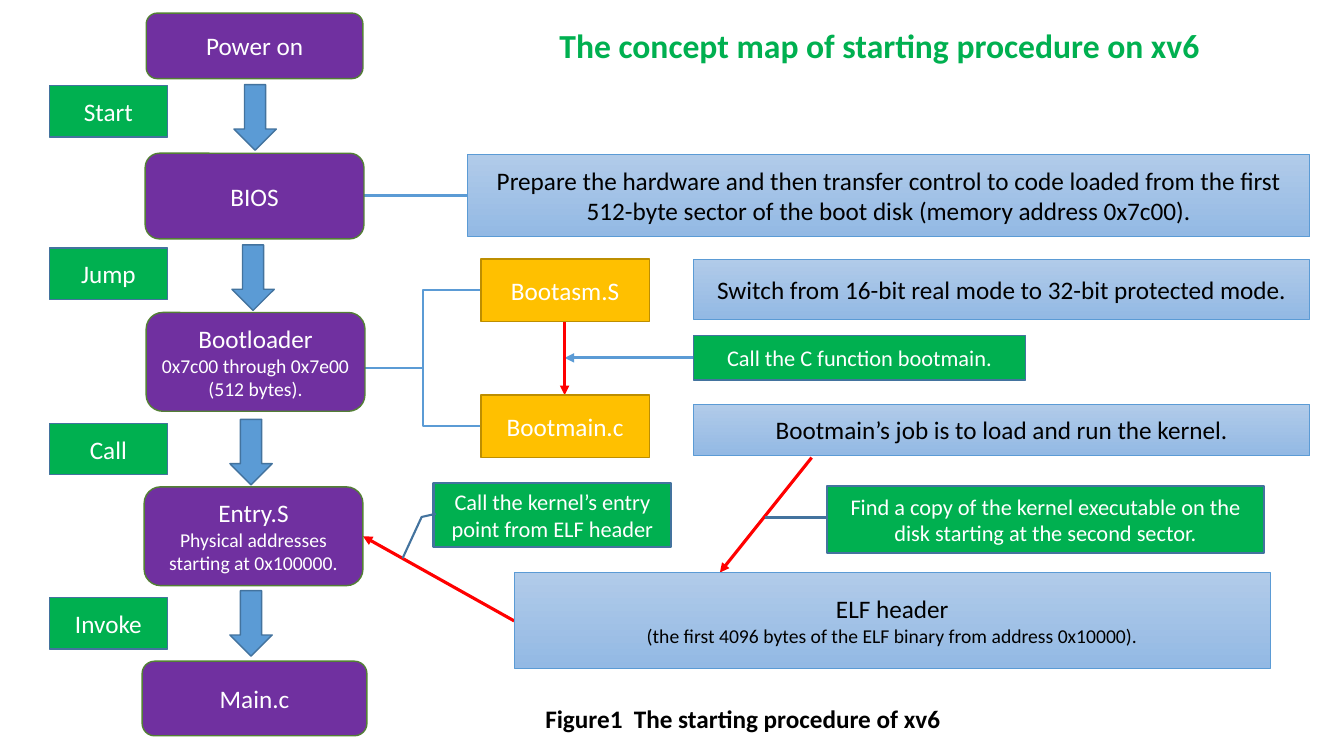
from dataclasses import dataclass
from typing import Optional

import lxml.etree
import pptx
import pptx.dml.color
import pptx.enum.shapes
import pptx.enum.text
import pptx.oxml.ns
import pptx.util

Inches = pptx.util.Inches
Pt = pptx.util.Pt
RGBColor = pptx.dml.color.RGBColor
Shape = pptx.enum.shapes.MSO_SHAPE
Connector = pptx.enum.shapes.MSO_CONNECTOR
Align = pptx.enum.text.PP_ALIGN


@dataclass(frozen=True)
class Theme:
    font: str = "Calibri"
    purple: str = "7030A0"
    purple_edge: str = "538035"
    green: str = "00B050"
    blue: str = "5B9BD5"
    blue_edge: str = "43739E"
    amber: str = "FFC000"
    amber_edge: str = "BD8E00"
    panel_top: str = "B1CBE9"
    panel_bottom: str = "93B9E4"
    red: str = "FF0000"
    white: str = "FFFFFF"
    black: str = "000000"
    title_size: int = 24
    body_size: int = 18
    note_size: int = 16
    detail_size: int = 14


THEME = Theme()


@dataclass(frozen=True)
class Style:
    geometry: Shape
    fill: str
    edge: str
    edge_width: float = 1
    text_color: str = THEME.white
    size: int = THEME.body_size
    fill_end: Optional[str] = None


STAGE = Style(Shape.ROUNDED_RECTANGLE, THEME.purple, THEME.purple_edge)
ACTION = Style(Shape.RECTANGLE, THEME.green, THEME.blue_edge)
NOTE = Style(Shape.RECTANGLE, THEME.green, THEME.blue_edge, size=THEME.note_size)
DOWN_ARROW = Style(Shape.DOWN_ARROW, THEME.blue, THEME.blue_edge)
SOURCE_FILE = Style(Shape.FLOWCHART_PROCESS, THEME.amber, THEME.amber_edge)
PANEL = Style(Shape.RECTANGLE, THEME.panel_top, THEME.blue, 0.5, THEME.black,
              fill_end=THEME.panel_bottom)
STRAIGHT_CALLOUT = Style(Shape.LINE_CALLOUT_1, THEME.green, THEME.blue_edge, 1.5,
                         size=THEME.note_size)
BENT_CALLOUT = Style(Shape.LINE_CALLOUT_2, THEME.green, THEME.blue_edge, 1.5,
                     size=THEME.note_size)


@dataclass(frozen=True)
class Box:
    style: Style
    left: float
    top: float
    width: float
    height: float
    text: str = ""
    detail: str = ""
    adjustments: tuple[float, ...] = ()


@dataclass(frozen=True)
class Link:
    start: tuple[float, float]
    end: tuple[float, float]
    color: str = THEME.blue
    width: float = 1.5
    kind: Connector = Connector.STRAIGHT
    arrow: bool = False


@dataclass(frozen=True)
class Heading:
    left: float
    top: float
    width: float
    height: float
    text: str
    size: int
    color: str
    wrap: bool


BOXES = [
    Box(STAGE, 1.45, 0.13, 2.15, 0.65, "Power on"),
    Box(STAGE, 1.44, 1.52, 2.17, 0.85, "BIOS"),
    Box(STAGE, 1.45, 3.1, 2.17, 0.98, "Bootloader", "0x7c00 through 0x7e00 (512 bytes)."),
    Box(STAGE, 1.43, 4.83, 2.17, 0.98, "Entry.S", "Physical addresses starting at 0x100000."),
    Box(STAGE, 1.41, 6.56, 2.23, 0.74, "Main.c"),
    *(Box(DOWN_ARROW, left, top, 0.42, 0.65)
      for left, top in ((2.32, 0.84), (2.3, 2.43), (2.28, 4.16), (2.28, 5.86))),
    *(Box(ACTION, 0.49, top, 1.17, 0.51, text)
      for top, text in ((0.85, "Start"), (2.46, "Jump"), (4.2, "Call"), (5.93, "Invoke"))),
    *(Box(SOURCE_FILE, 4.77, top, 1.67, 0.62, text)
      for top, text in ((2.57, "Bootasm.S"), (3.92, "Bootmain.c"))),
    Box(PANEL, 4.64, 1.53, 8.35, 0.82,
        "Prepare the hardware and then transfer control to code loaded from the ﬁrst "
        "512-byte sector of the boot disk (memory address 0x7c00)."),
    Box(PANEL, 6.88, 2.57, 6.11, 0.6, "Switch from 16-bit real mode to 32-bit protected mode."),
    Box(NOTE, 6.88, 3.33, 3.29, 0.44, "Call the C function bootmain."),
    Box(PANEL, 6.88, 4.01, 6.11, 0.51, "Bootmain’s job is to load and run the kernel."),
    Box(PANEL, 5.1, 5.68, 7.5, 0.95, "ELF header",
        "(the ﬁrst 4096 bytes of the ELF binary from address 0x10000)."),
    Box(STRAIGHT_CALLOUT, 8.2, 4.82, 4.34, 0.67,
        "Find a copy of the kernel executable on the disk starting at the second sector.",
        adjustments=(0.47, 0, 0.47, -0.14)),
    Box(BENT_CALLOUT, 4.3, 4.79, 2.36, 0.64, "Call the kernel’s entry point from ELF header",
        adjustments=(0.48, 0.01, 0.53, -0.05, 1.17, -0.13)),
]

LINKS = [
    Link((3.61, 1.94), (4.64, 1.94)),
    Link((3.62, 3.65), (4.77, 4.23), kind=Connector.ELBOW),
    Link((3.62, 3.65), (4.77, 2.88), kind=Connector.ELBOW),
    Link((6.88, 3.55), (5.6, 3.55), width=2.25, arrow=True),
    *(Link(start, end, THEME.red, 2.25, arrow=True)
      for start, end in (((5.6, 3.19), (5.6, 3.92)),
                         ((8.05, 4.54), (7.14, 5.68)),
                         ((5.1, 6.16), (3.6, 5.32)))),
]

HEADINGS = [
    Heading(5.45, 0.2, 6.8, 0.5, "The concept map of starting procedure on xv6",
            THEME.title_size, THEME.green, True),
    Heading(5.31, 6.93, 4.16, 0.4, "Figure1  The starting procedure of xv6",
            THEME.body_size, THEME.black, False),
]


def rgb(color: str) -> RGBColor:
    return RGBColor.from_string(color)


def set_font(paragraph, size: int, color: str, bold: bool = False) -> None:
    font = paragraph.font
    font.name = THEME.font
    font.size = Pt(size)
    font.bold = bold
    font.color.rgb = rgb(color)


def fill_shape(shape, style: Style) -> None:
    """Fill with one colour, or from top to bottom when the style has an end colour."""
    if style.fill_end is None:
        shape.fill.solid()
        shape.fill.fore_color.rgb = rgb(style.fill)
        return
    shape.fill.gradient()
    shape.fill.gradient_angle = 270
    for stop, color in zip(shape.fill.gradient_stops, (style.fill, style.fill_end)):
        stop.color.rgb = rgb(color)


def add_box(slide, box: Box) -> None:
    style = box.style
    shape = slide.shapes.add_shape(style.geometry, Inches(box.left), Inches(box.top),
                                   Inches(box.width), Inches(box.height))
    shape.shadow.inherit = False
    fill_shape(shape, style)
    shape.line.color.rgb = rgb(style.edge)
    shape.line.width = Pt(style.edge_width)
    for index, value in enumerate(box.adjustments):
        shape.adjustments[index] = value
    if not box.text:
        return
    frame = shape.text_frame
    frame.word_wrap = True
    frame.vertical_anchor = pptx.enum.text.MSO_ANCHOR.MIDDLE
    frame.text = "\n".join(filter(None, (box.text, box.detail)))
    for paragraph, size in zip(frame.paragraphs, (style.size, THEME.detail_size)):
        paragraph.alignment = Align.CENTER
        set_font(paragraph, size, style.text_color)


def add_link(slide, link: Link) -> None:
    connector = slide.shapes.add_connector(
        link.kind, *(Inches(value) for value in link.start + link.end))
    connector.line.color.rgb = rgb(link.color)
    connector.line.width = Pt(link.width)
    if link.arrow:
        lxml.etree.SubElement(connector.line._get_or_add_ln(),
                              pptx.oxml.ns.qn("a:tailEnd"), type="triangle")
    lxml.etree.SubElement(connector._element.spPr, pptx.oxml.ns.qn("a:effectLst"))


def add_heading(slide, heading: Heading) -> None:
    text_box = slide.shapes.add_textbox(Inches(heading.left), Inches(heading.top),
                                        Inches(heading.width), Inches(heading.height))
    frame = text_box.text_frame
    frame.word_wrap = heading.wrap
    frame.auto_size = pptx.enum.text.MSO_AUTO_SIZE.SHAPE_TO_FIT_TEXT
    frame.text = heading.text
    set_font(frame.paragraphs[0], heading.size, heading.color, bold=True)


def main() -> None:
    presentation = pptx.Presentation()
    presentation.slide_width = Inches(13.33)
    presentation.slide_height = Inches(7.5)
    slide = presentation.slides.add_slide(presentation.slide_layouts[6])
    for link in LINKS:
        add_link(slide, link)
    for box in BOXES:
        add_box(slide, box)
    for heading in HEADINGS:
        add_heading(slide, heading)
    presentation.save("out.pptx")


if __name__ == "__main__":
    main()
